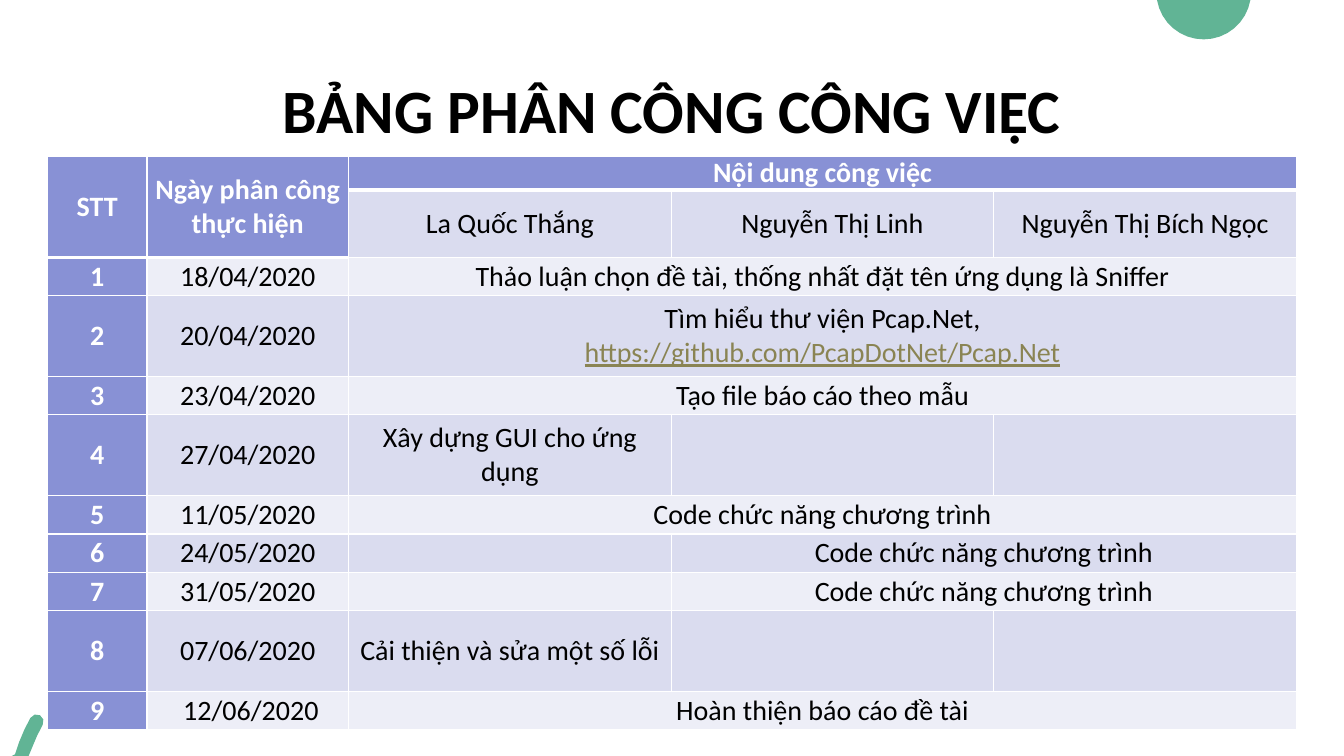
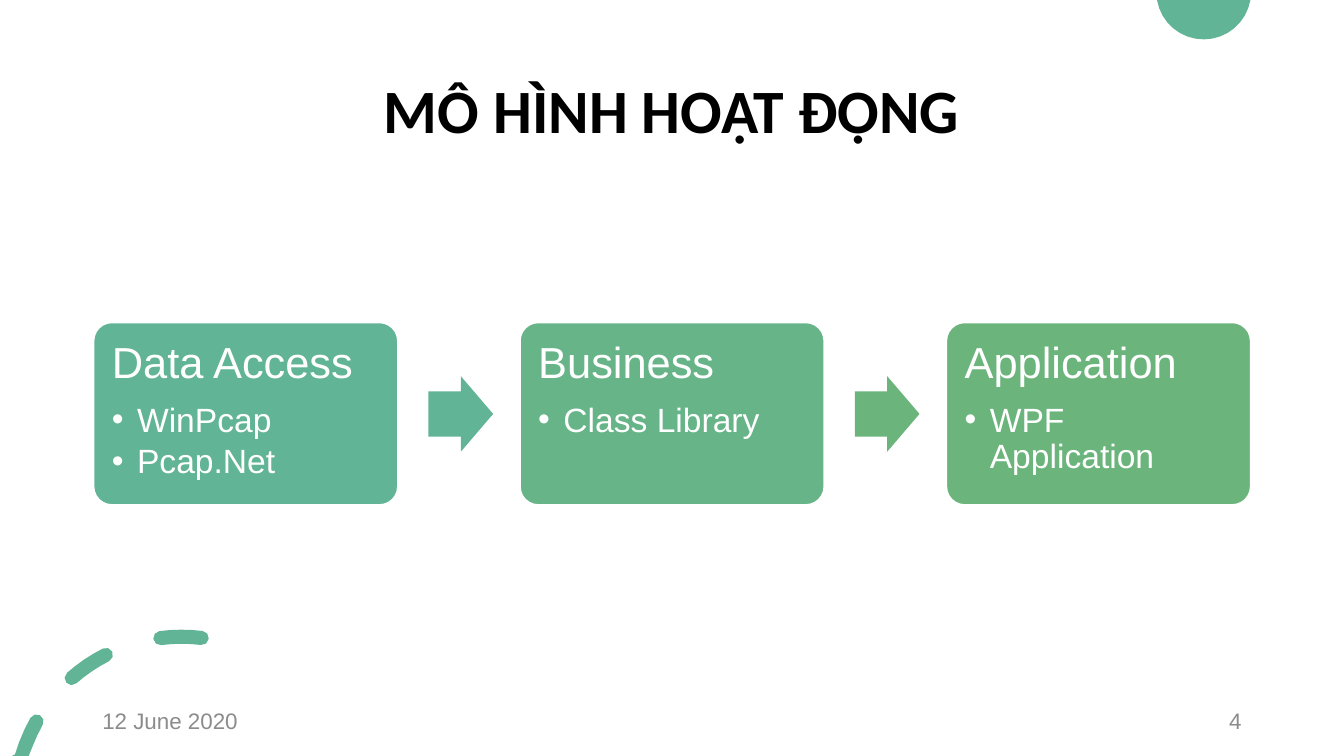
from math import cos, radians, sin

from lxml import etree
from pptx import Presentation
from pptx import util as u
from pptx.dml.color import RGBColor
from pptx.enum import shapes, text
from pptx.oxml import ns

COLUMNS, ROWS = 160, 90
CELL = u.Inches(1 / 12)  # one square grid cell; every length below counts cells
COLORS = {
    "black": "000000", "white": "FFFFFF", "gray": "8C8C8C", "link": "8A8453",
    "green": "61B495", "mid_green": "66B487", "light_green": "6BB47B",
    "header": "8891D5", "dark_band": "DADCEF", "light_band": "EDEEF7",
}
ALIGN = {"left": text.PP_ALIGN.LEFT, "center": text.PP_ALIGN.CENTER,
         "right": text.PP_ALIGN.RIGHT}
MIDDLE, TOP = text.MSO_ANCHOR.MIDDLE, text.MSO_ANCHOR.TOP
LEFT, ABOVE = "<", "^"  # table marks: merged with the cell to the left or above


def cells(*counts):
    return [u.Emu(round(count * CELL)) for count in counts]


def rgb(name):
    return RGBColor.from_string(COLORS[name])


def write_text(frame, lines, **shared):
    """Fill a frame; a line is a string or a pair of string and own format."""
    for number, line in enumerate(lines):
        words, own = (line, {}) if isinstance(line, str) else line
        style = {"size": 20, "font": "Calibri", "color": "black", "bold": False,
                 "underline": False, "align": "left", "spacing": 1.0,
                 "after": 0, "bullet": None, **shared, **own}
        paragraph = frame.paragraphs[0] if number == 0 else frame.add_paragraph()
        properties = paragraph._p.get_or_add_pPr()
        indent = u.Inches(0.25) if style["bullet"] else 0
        properties.set("marL", str(indent))
        properties.set("indent", str(-indent))
        if style["bullet"]:
            bullet = etree.SubElement(properties, ns.qn("a:buChar"))
            bullet.set("char", style["bullet"])
        else:
            etree.SubElement(properties, ns.qn("a:buNone"))
        paragraph.alignment = ALIGN[style["align"]]
        paragraph.line_spacing = style["spacing"]
        paragraph.space_before = u.Pt(0)
        paragraph.space_after = u.Pt(style["after"])
        run = paragraph.add_run()
        run.text = words
        run.font.name = style["font"]
        run.font.size = u.Pt(style["size"])
        run.font.bold = style["bold"]
        run.font.underline = style["underline"]
        run.font.color.rgb = rgb(style["color"])


def set_borders(cell, bottom):
    properties = cell._tc.get_or_add_tcPr()
    for side, width in (("L", 1), ("R", 1), ("T", 1), ("B", bottom)):
        line = etree.SubElement(properties, ns.qn(f"a:ln{side}"), w=str(u.Pt(width)))
        fill = etree.SubElement(line, ns.qn("a:solidFill"))
        etree.SubElement(fill, ns.qn("a:srgbClr"), val=COLORS["white"])


def arc(center, radius, start, end, steps=4):
    """Points on a circle; degrees run counterclockwise from the top."""
    angles = [radians(start + (end - start) * i / steps) for i in range(steps + 1)]
    return [(center[0] - radius * sin(a), center[1] - radius * cos(a)) for a in angles]


def rounded_dash(center, radius, half, start, end):
    """Outline of a thick arc with round ends."""
    first, last = arc(center, radius, start, end, 1)
    return (arc(center, radius + half, start, end)
            + arc(last, half, end, end + 180)[1:]
            + arc(center, radius - half, end, start)[1:]
            + arc(first, half, start + 180, start + 360)[1:-1])


class Deck:
    def __init__(self):
        self.presentation = Presentation()
        self.presentation.slide_width, self.presentation.slide_height = cells(COLUMNS, ROWS)
        self.slide = None

    def add_slide(self, title, layout):
        self.slide = self.presentation.slides.add_slide(
            self.presentation.slide_layouts.get_by_name(layout))
        self.outline([arc((143.3, -0.95), 5.64, 99.7, 260.3, 16)])
        self.outline([rounded_dash((21.6, 95.6), 19.8, 0.84, start, end)
                      for start, end in ((60.6, 78), (27, 41.3), (-7, 7.3))])
        heading = self.slide.shapes.title
        self.place(heading, 11, 4.8, 138, 17.4)
        heading.text_frame.vertical_anchor = MIDDLE
        write_text(heading.text_frame, [title], size=44, bold=True,
                   align="center", spacing=0.9)
        self.footer("12 June 2020", 11, "left")

    @staticmethod
    def place(shape, *box):
        shape.left, shape.top, shape.width, shape.height = cells(*box)

    @staticmethod
    def paint(shape, fill, line=None):
        shape.shadow.inherit = False
        shape.fill.solid()
        shape.fill.fore_color.rgb = rgb(fill)
        if line:
            shape.line.color.rgb = rgb(line)
            shape.line.width = u.Pt(1)
        else:
            shape.line.fill.background()

    def outline(self, contours):
        """Green decoration of closed contours, cut off at the slide's top and bottom."""
        contours = [[cells(x, min(max(y, 0), ROWS)) for x, y in points]
                    for points in contours]
        builder = self.slide.shapes.build_freeform(*contours[0][0])
        for number, points in enumerate(contours):
            if number:
                builder.move_to(*points[0])
            builder.add_line_segments(points[1:])
        self.paint(builder.convert_to_shape(), "green")

    def preset(self, kind, box, fill, adjustments, line=None):
        shape = self.slide.shapes.add_shape(kind, *cells(*box))
        for number, value in enumerate(adjustments):
            shape.adjustments[number] = value
        self.paint(shape, fill, line)

    def footer(self, words, left, align):
        box = self.slide.shapes.add_textbox(*cells(left, 83.4, 36, 4.8))
        box.text_frame.word_wrap = True
        box.text_frame.vertical_anchor = MIDDLE
        write_text(box.text_frame, [words], size=16, font="Arial", color="gray", align=align)

    def card(self, placeholder, box, fill, heading, items):
        left, top, width, height = box
        self.preset(shapes.MSO_SHAPE.ROUNDED_RECTANGLE, box, fill, [0.1], "white")
        self.slide.shapes._spTree.append(placeholder._element)  # in front of the card
        self.place(placeholder, left + 0.6, top + 0.6, width - 1.2, height - 1.2)
        frame = placeholder.text_frame
        frame.auto_size = text.MSO_AUTO_SIZE.NONE
        frame.vertical_anchor = TOP
        frame.margin_left = frame.margin_right = u.Inches(0.13)
        frame.margin_top = frame.margin_bottom = u.Inches(0.13)
        lines = [(heading, {"size": 31, "after": 11})]
        lines += [(item, {"bullet": "•"}) for item in items]
        write_text(frame, lines, size=24, font="Arial", color="white",
                   spacing=0.9, after=3.6)

    def table(self, left, top, widths, heights, rows):
        frame = self.slide.shapes.add_table(
            len(rows), len(widths), *cells(left, top, sum(widths), sum(heights)))
        table = frame.table
        for column, width in zip(table.columns, cells(*widths)):
            column.width = width
        for row, height in zip(table.rows, cells(*heights)):
            row.height = height
        for r, row in enumerate(rows):
            for c, content in enumerate(row):
                self.table_cell(table.cell(r, c), r, c, content)
        for r, row in enumerate(rows):
            for c, content in enumerate(row):
                if content in (LEFT, ABOVE):
                    continue
                right, bottom = c, r
                while right + 1 < len(row) and row[right + 1] == LEFT:
                    right += 1
                while bottom + 1 < len(rows) and rows[bottom + 1][c] == ABOVE:
                    bottom += 1
                if (right, bottom) != (c, r):
                    table.cell(r, c).merge(table.cell(bottom, right))

    @staticmethod
    def table_cell(cell, r, c, content):
        is_header = r == 0 or c == 0 or content == ABOVE
        set_borders(cell, 3 if r == 0 or content == ABOVE else 1)
        cell.fill.solid()
        band = "dark_band" if r % 2 else "light_band"
        cell.fill.fore_color.rgb = rgb("header" if is_header else band)
        cell.vertical_anchor = MIDDLE
        cell.margin_left = cell.margin_right = u.Inches(0.07)
        cell.margin_top = cell.margin_bottom = 0
        if content and content not in (LEFT, ABOVE):
            lines = [content] if isinstance(content, str) else content
            write_text(cell.text_frame, lines, align="center", bold=is_header,
                       color="white" if is_header else "black")


def work_plan(deck):
    deck.add_slide("BẢNG PHÂN CÔNG CÔNG VIỆC", "Title Only")
    library = ["Tìm hiểu thư viện Pcap.Net,",
               ("https://github.com/PcapDotNet/Pcap.Net",
                {"color": "link", "underline": True})]
    coding = "Code chức năng chương trình"
    tasks = [
        ("18/04/2020", "Thảo luận chọn đề tài, thống nhất đặt tên ứng dụng là Sniffer", LEFT, LEFT),
        ("20/04/2020", library, LEFT, LEFT),
        ("23/04/2020", "Tạo file báo cáo theo mẫu", LEFT, LEFT),
        ("27/04/2020", "Xây dựng GUI cho ứng dụng", "", ""),
        ("11/05/2020", coding, LEFT, LEFT),
        ("24/05/2020", "", coding, LEFT),
        ("31/05/2020", "", coding, LEFT),
        ("07/06/2020", "Cải thiện và sửa một số lỗi", "", ""),
        (" 12/06/2020", "Hoàn thiện báo cáo đề tài", LEFT, LEFT),
    ]
    rows = [
        ("STT", "Ngày phân công thực hiện", "Nội dung công việc", LEFT, LEFT),
        (ABOVE, ABOVE, "La Quốc Thắng", "Nguyễn Thị Linh", "Nguyễn Thị Bích Ngọc"),
    ]
    rows += [(str(number), *task) for number, task in enumerate(tasks, 1)]
    tall_rows = (3, 5, 9)
    heights = [4.03] + [9.63 if r in tall_rows else 4.56 for r in range(1, len(rows))]
    deck.table(5.65, 18.6, [11.85, 24, 38.4, 38.4, 36.05], heights, rows)


def operating_model(deck):
    deck.add_slide("MÔ HÌNH HOẠT ĐỘNG", "Comparison")
    deck.footer("4", 113, "right")
    layers = [
        ("Data Access", ["WinPcap", "Pcap.Net"], "green"),
        ("Business", ["Class Library"], "mid_green"),
        ("Application", ["WPF Application"], "light_green"),
    ]
    left, step, width = 11.16, 50.76, 36.2
    *bodies, spare = list(deck.slide.placeholders)[1:]
    spare._element.getparent().remove(spare._element)
    for number, (body, (heading, items, fill)) in enumerate(zip(bodies, layers)):
        x = left + number * step
        deck.card(body, (x, 38.4, width, 21.7), fill, heading, items)
    for number, fill in enumerate(("green", "light_green")):
        x = left + number * step + width + 3.65
        deck.preset(shapes.MSO_SHAPE.RIGHT_ARROW, (x, 44.78, 7.7, 9), fill, [0.6, 0.5])


def main():
    deck = Deck()
    work_plan(deck)
    operating_model(deck)
    deck.presentation.save("out.pptx")


if __name__ == "__main__":
    main()
